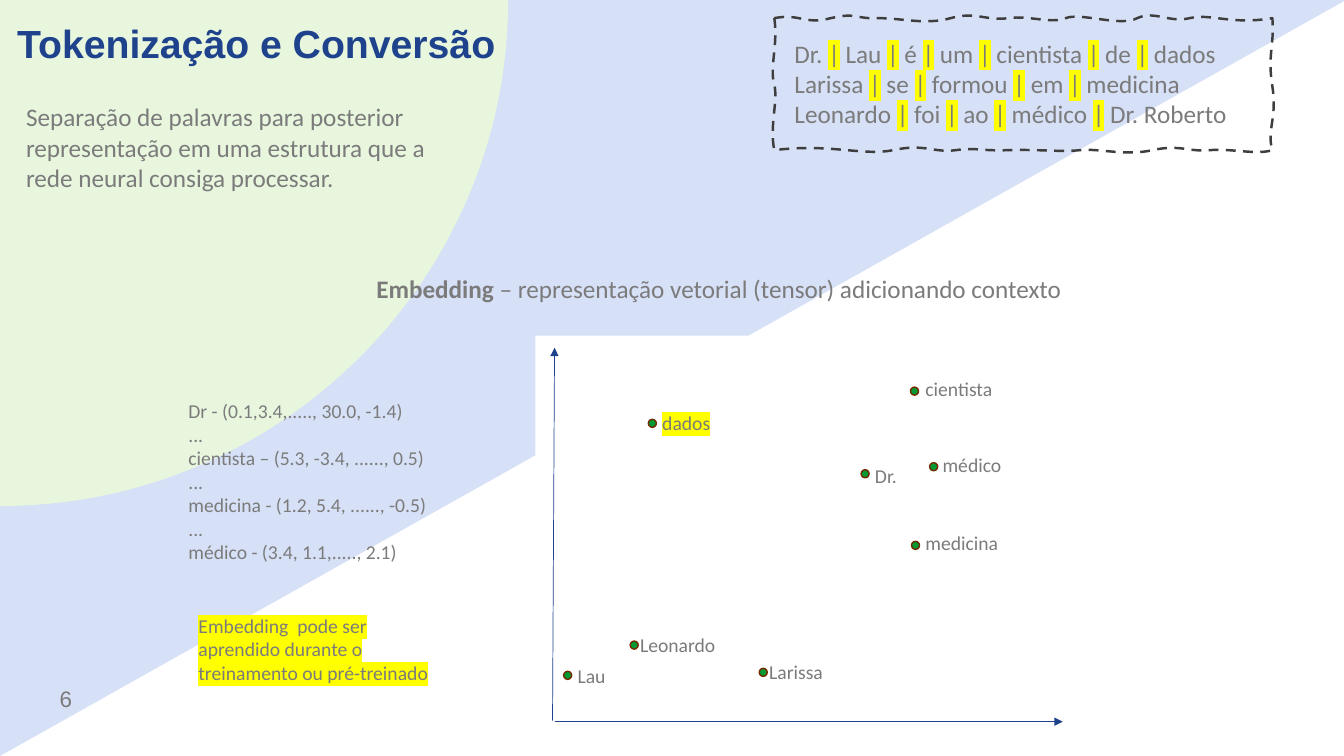
from dataclasses import dataclass

from lxml.etree import SubElement
from pptx import Presentation
from pptx.dml.color import RGBColor
from pptx.enum.dml import MSO_LINE
from pptx.enum.shapes import MSO_CONNECTOR, MSO_SHAPE
from pptx.enum.text import MSO_ANCHOR, MSO_AUTO_SIZE, PP_ALIGN
from pptx.oxml.ns import qn
from pptx.util import Inches, Pt

NAVY, GRAY, YELLOW, WHITE = "1E428B", "7B7B7B", "FFFF00", "FFFFFF"
BLUE, GREEN, DARK, DOT, RIM = "D6E0F6", "E8F6DE", "3E3E3E", "009933", "742A00"
Spot = tuple[float, float]
Step = tuple[Spot, ...]


@dataclass(frozen=True)
class Word:
    """A word of the vector space: its dot and its label box."""
    text: str
    dot: Spot
    label: Spot
    width: float
    mark: str = ""


@dataclass(frozen=True)
class Note:
    """A block of plain text."""
    text: str
    box: tuple[float, float, float, float]
    size: float
    mark: str = ""


WORDS = [
    Word("Dr.", (8.54, 4.66), (8.58, 4.55), 0.8),
    Word("Lau", (5.59, 6.66), (5.63, 6.54), 1.66),
    Word("cientista", (9.03, 3.84), (9.08, 3.69), 1.66),
    Word("médico", (9.22, 4.59), (9.25, 4.44), 0.89),
    Word("medicina", (9.04, 5.37), (9.08, 5.22), 1.66),
    Word("Leonardo", (6.25, 6.36), (6.25, 6.23), 1.66),
    Word("Larissa", (7.53, 6.63), (7.53, 6.5), 0.82),
    Word("dados", (6.43, 4.16), (6.47, 4.03), 0.83, YELLOW),
]
NOTES = [
    Note("Separação de palavras para posterior representação em uma estrutura "
         "que a rede neural consiga processar.", (0.16, 0.96, 4.61, 1.01), 18),
    Note("Dr - (0.1,3.4,....., 30.0, -1.4)\n...\n"
         "cientista – (5.3, -3.4, ......, 0.5)\n...\n"
         "medicina - (1.2, 5.4, ......, -0.5)\n...\n"
         "médico - (3.4, 1.1,....., 2.1)", (1.77, 3.91, 2.7, 1.75), 14),
    Note("Embedding  pode ser aprendido durante o treinamento ou pré-treinado",
         (1.87, 6.04, 2.7, 0.81), 14, YELLOW),
]
TOKENS = [
    "Dr. | Lau | é | um | cientista | de | dados",
    "Larissa | se | formou | em | medicina",
    "Leonardo | foi | ao | médico | Dr. Roberto",
]
START = (7.68, 0.18)
WAVES: list[Step] = [
    ((7.94, 0.13), (7.98, 0.25), (8.24, 0.18)),
    ((8.5, 0.12), (8.48, 0.19), (8.71, 0.18)),
    ((8.95, 0.18), (9.18, 0.25), (9.43, 0.18)),
    ((9.68, 0.11), (9.78, 0.21), (10, 0.18)),
    ((10.21, 0.15), (10.42, 0.24), (10.57, 0.18)),
    ((10.72, 0.12), (11.11, 0.27), (11.28, 0.18)),
    ((11.45, 0.1), (11.59, 0.23), (11.8, 0.18)),
    ((12.01, 0.13), (12.21, 0.25), (12.62, 0.18)),
    ((12.64, 0.47), (12.57, 0.54), (12.62, 0.86)),
    ((12.67, 1.18), (12.56, 1.29), (12.62, 1.49)),
    ((12.46, 1.54), (12.2, 1.47), (12, 1.49)),
    ((11.79, 1.51), (11.7, 1.43), (11.43, 1.49)),
    ((11.16, 1.55), (10.9, 1.47), (10.71, 1.49)),
    ((10.53, 1.51), (10.28, 1.48), (10, 1.49)),
    ((9.71, 1.5), (9.69, 1.46), (9.48, 1.49)),
    ((9.26, 1.52), (9.17, 1.42), (8.86, 1.49)),
    ((8.55, 1.55), (8.23, 1.42), (7.68, 1.49)),
    ((7.63, 1.25), (7.72, 1), (7.68, 0.84)),
    ((7.63, 0.67), (7.72, 0.44), START),
]
WEDGE: list[Step] = [((13.35, 0),), ((0, 7.5),)]
DISC: list[Step] = [((5.04, 0),), ((5.04, 2.77), (2.78, 5.02), (0, 5.02))]


def color(code: str) -> RGBColor:
    """Turn a hex string into a colour."""
    return RGBColor.from_string(code)


def style(run, size: float, tint: str = GRAY, face: str = "Calibri",
          bold: bool = False, mark: str = "") -> None:
    """Format one run, with an optional highlight."""
    font = run.font
    font.size, font.bold, font.name = Pt(size), bold, face
    font.color.rgb = color(tint)
    if mark:
        props = run._r.get_or_add_rPr()
        light = SubElement(props, qn("a:highlight"))
        SubElement(light, qn("a:srgbClr")).set("val", mark)
        props.find(qn("a:solidFill")).addnext(light)


def paint(shape, fill: str = "", line: str = "", width: float = 1) -> None:
    """Set fill and outline, and drop the shadow."""
    shape.shadow.inherit = False
    if fill:
        shape.fill.solid()
        shape.fill.fore_color.rgb = color(fill)
    else:
        shape.fill.background()
    if line:
        shape.line.color.rgb = color(line)
        shape.line.width = Pt(width)
    else:
        shape.line.fill.background()


def outline(shapes, start: Spot, steps: list[Step]):
    """Draw a closed outline of straight steps and cubic curves."""
    maker = shapes.build_freeform(*map(Inches, start))
    maker.add_line_segments([tuple(map(Inches, step[-1])) for step in steps], close=True)
    shape = maker.convert_to_shape()
    for leg, step in zip(list(shape.element.iter(qn("a:lnTo"))), steps):
        if len(step) == 3:
            leg.tag = qn("a:cubicBezTo")
            for old in list(leg):
                leg.remove(old)
            for x, y in step:
                point = SubElement(leg, qn("a:pt"))
                point.set("x", str(Inches(x) - shape.left))
                point.set("y", str(Inches(y) - shape.top))
    return shape


def write(shapes, note: Note, face: str = "Calibri"):
    """Add a wrapped text box in one style."""
    box = shapes.add_textbox(*map(Inches, note.box))
    box.text_frame.word_wrap = True
    box.text_frame.auto_size = MSO_AUTO_SIZE.SHAPE_TO_FIT_TEXT
    box.text_frame.text = note.text
    for para in box.text_frame.paragraphs:
        for run in para.runs:
            style(run, note.size, face=face, mark=note.mark)
    return box


def inset(body, size: float) -> None:
    """Set all four margins of a text body."""
    body.margin_left = body.margin_right = Inches(size)
    body.margin_top = body.margin_bottom = Inches(size)


def axis(shapes, start: Spot, end: Spot) -> None:
    """Draw an axis with an arrowhead at its end."""
    line = shapes.add_connector(MSO_CONNECTOR.STRAIGHT, *map(Inches, start + end))
    line.line.color.rgb = color(NAVY)
    line.line.width = Pt(0.5)
    SubElement(line.line._get_or_add_ln(), qn("a:tailEnd")).set("type", "triangle")
    SubElement(line.element.spPr, qn("a:effectLst"))


def frame(shapes) -> None:
    """Draw the wavy dashed frame with the split sentences."""
    shape = outline(shapes, START, WAVES)
    paint(shape, line=DARK, width=1.75)
    shape.line.dash_style = MSO_LINE.DASH
    body = shape.text_frame
    body.word_wrap, body.vertical_anchor = True, MSO_ANCHOR.TOP
    inset(body, 0.2)
    for i, line in enumerate(TOKENS):
        para = body.add_paragraph() if i else body.paragraphs[0]
        para.alignment = PP_ALIGN.LEFT
        for part in line.replace("|", "_|_").split("_"):
            run = para.add_run()
            run.text = part
            style(run, 18, mark=YELLOW if part == "|" else "")


def plot(shapes) -> None:
    """Draw the vector space with its words and axes."""
    panel = shapes.add_shape(MSO_SHAPE.RECTANGLE, *map(Inches, (5.31, 3.33, 5.44, 4.03)))
    paint(panel, WHITE)
    for word in WORDS:
        write(shapes, Note(word.text, (*word.label, word.width, 0.34), 14, word.mark))
    for word in WORDS:
        dot = shapes.add_shape(MSO_SHAPE.OVAL, *map(Inches, (*word.dot, 0.08, 0.08)))
        paint(dot, DOT, RIM)
    axis(shapes, (5.5, 7.16), (10.54, 7.16))
    axis(shapes, (5.48, 7.15), (5.5, 3.45))


def main() -> None:
    """Build the slide and save it."""
    deck = Presentation()
    deck.slide_width, deck.slide_height = Inches(13.33), Inches(7.5)
    slide = deck.slides.add_slide(deck.slide_layouts[5])
    shapes = slide.shapes
    for steps, fill in ((WEDGE, BLUE), (DISC, GREEN)):
        paint(outline(shapes, (0, 0), steps), fill)
    page = write(shapes, Note("6", (0.54, 6.75, 1.38, 0.37), 16), "Arial")
    inset(page.text_frame, 0.05)

    title = shapes.title
    page.element.addnext(title.element)
    title.left, title.top, title.width, title.height = map(Inches, (0.11, 0.13, 5.28, 0.58))
    head = title.text_frame
    head.text = "Tokenização e Conversão"
    head.auto_size, head.vertical_anchor = MSO_AUTO_SIZE.SHAPE_TO_FIT_TEXT, MSO_ANCHOR.MIDDLE
    inset(head, 0.06)
    head.paragraphs[0].alignment = PP_ALIGN.LEFT
    head.paragraphs[0].space_after = Pt(2)
    style(head.paragraphs[0].runs[0], 28, NAVY, "Arial", True)

    frame(shapes)
    write(shapes, NOTES[0])
    lead = write(shapes, Note("Embedding", (3.47, 2.66, 7.32, 0.4), 18))
    para = lead.text_frame.paragraphs[0]
    para.alignment = PP_ALIGN.CENTER
    para.runs[0].font.bold = True
    rest = para.add_run()
    rest.text = " – representação vetorial (tensor) adicionando contexto"
    style(rest, 18)
    write(shapes, NOTES[1])
    plot(shapes.add_group_shape().shapes)
    write(shapes, NOTES[2])
    deck.save("out.pptx")


if __name__ == "__main__":
    main()
